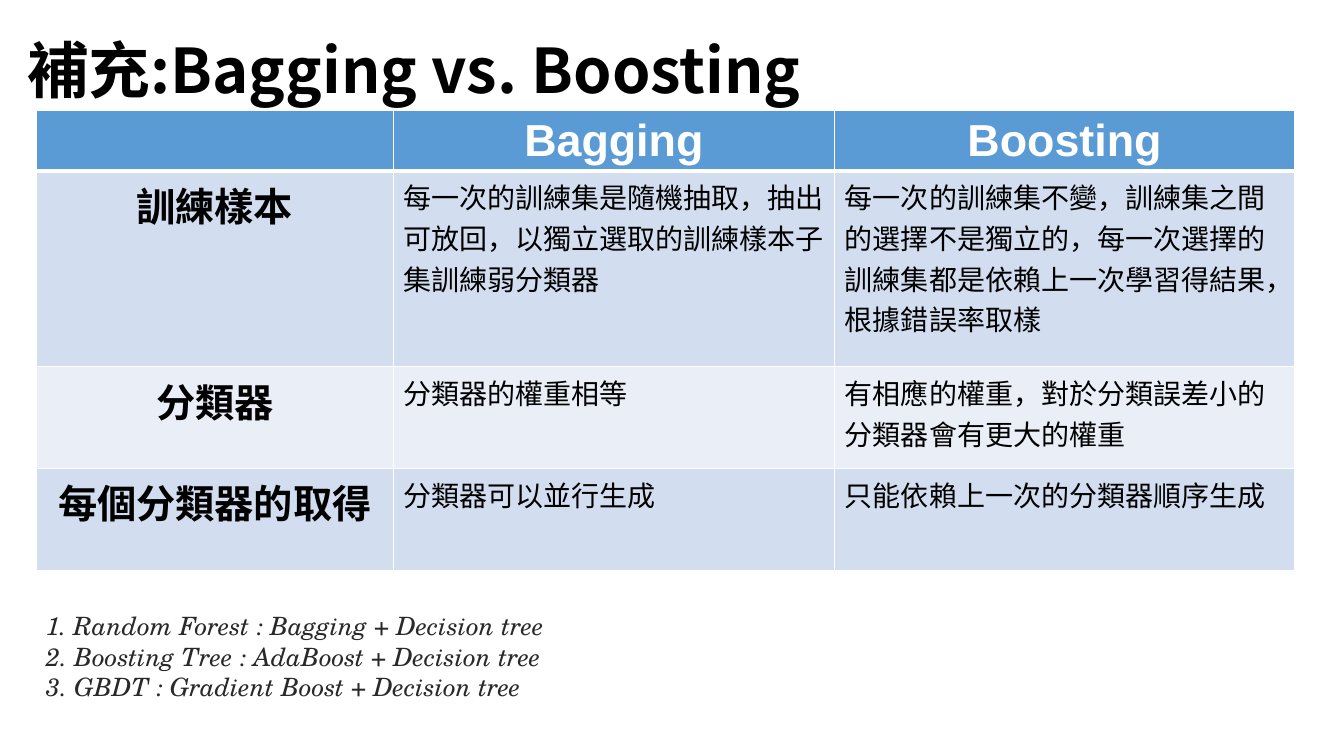
from lxml import etree
from pptx import Presentation
from pptx.dml.color import RGBColor
from pptx.enum.text import MSO_ANCHOR, MSO_AUTO_SIZE, PP_ALIGN
from pptx.oxml.ns import qn
from pptx.util import Inches, Pt

LEFT, CENTER = PP_ALIGN.LEFT, PP_ALIGN.CENTER
MIDDLE = MSO_ANCHOR.MIDDLE
NO_FIT, GROW = MSO_AUTO_SIZE.NONE, MSO_AUTO_SIZE.SHAPE_TO_FIT_TEXT

# Content
TITLE = "補充:Bagging vs. Boosting"
COMPARISON = [
    ("", "Bagging", "Boosting"),
    ("訓練樣本",
     "每一次的訓練集是隨機抽取，抽出可放回，以獨立選取的訓練樣本子集訓練弱分類器",
     "每一次的訓練集不變，訓練集之間的選擇不是獨立的，每一次選擇的訓練集都是依賴上一次學習得結果，根據錯誤率取樣"),
    ("分類器", "分類器的權重相等", "有相應的權重，對於分類誤差小的分類器會有更大的權重"),
    ("每個分類器的取得", "分類器可以並行生成", "只能依賴上一次的分類器順序生成"),
]
EXAMPLES = [
    "1. Random Forest : Bagging + Decision tree",
    "2. Boosting Tree : AdaBoost + Decision tree",
    "3. GBDT : Gradient Boost + Decision tree",
]

# Style
COLORS = {"header": "5B9BD5", "odd": "D2DEEF", "even": "EAEFF7",
          "white": "FFFFFF", "black": "000000", "note": "292929"}
SANS, CJK, SERIF = "Arial", "Noto Sans CJK TC", "TeX Gyre Schola"
COLUMN_WIDTHS = [3.54, 4.38, 4.56]
ROW_HEIGHTS = [0.49, 1.94, 1.01, 1.01]


def style(para, size, name, color, bold=False, italic=False, align=LEFT):
    para.alignment = align
    font = para.font
    font.size, font.name = Pt(size), name
    font.bold, font.italic = bold, italic
    font.color.rgb = RGBColor.from_string(COLORS[color])
    defaults = para._p.get_or_add_pPr().find(qn("a:defRPr"))
    etree.SubElement(defaults, qn("a:ea"), typeface=CJK)


def add_borders(cell, bottom_width):
    properties = cell._tc.get_or_add_tcPr()
    widths = {"lnL": 1, "lnR": 1, "lnT": 1, "lnB": bottom_width}
    for position, (side, width) in enumerate(widths.items()):
        line = etree.Element(qn(f"a:{side}"), w=str(Pt(width)))
        fill = etree.SubElement(line, qn("a:solidFill"))
        etree.SubElement(fill, qn("a:srgbClr"), val=COLORS["white"])
        properties.insert(position, line)


deck = Presentation()
deck.slide_width, deck.slide_height = Inches(13.33), Inches(7.5)
page = deck.slides.add_slide(deck.slide_layouts[5])

# Title
title = page.shapes.title
title.left, title.top = Inches(0.17), Inches(0)
title.width, title.height = Inches(11.5), Inches(1.45)
frame = title.text_frame
frame.text = TITLE
frame.auto_size, frame.vertical_anchor = NO_FIT, MIDDLE
frame.paragraphs[0].line_spacing = 0.9
style(frame.paragraphs[0], 44, CJK, "black", bold=True)

# Comparison table
table = page.shapes.add_table(
    len(ROW_HEIGHTS), len(COLUMN_WIDTHS), Inches(0.36), Inches(1.1),
    Inches(sum(COLUMN_WIDTHS)), Inches(sum(ROW_HEIGHTS))).table
for column, width in zip(table.columns, COLUMN_WIDTHS):
    column.width = Inches(width)
for r, (row, height) in enumerate(zip(COMPARISON, ROW_HEIGHTS)):
    table.rows[r].height = Inches(height)
    band = "header" if r == 0 else "odd" if r % 2 else "even"
    for c, text in enumerate(row):
        cell = table.cell(r, c)
        cell.fill.solid()
        cell.fill.fore_color.rgb = RGBColor.from_string(COLORS[band])
        add_borders(cell, 3 if r == 0 else 1)
        cell.text = text
        para = cell.text_frame.paragraphs[0]
        if r == 0:
            style(para, 32, SANS, "white", bold=True, align=CENTER)
        elif c == 0:
            style(para, 28, CJK, "black", bold=True, align=CENTER)
        else:
            style(para, 20, SANS, "black")

# Examples
box = page.shapes.add_textbox(Inches(0.36), Inches(6.01), Inches(6.67), Inches(1.01))
frame = box.text_frame
frame.word_wrap, frame.auto_size = True, GROW
frame.paragraphs[0].text = "\v".join(EXAMPLES)
style(frame.paragraphs[0], 18, SERIF, "note", italic=True)

deck.save("out.pptx")
